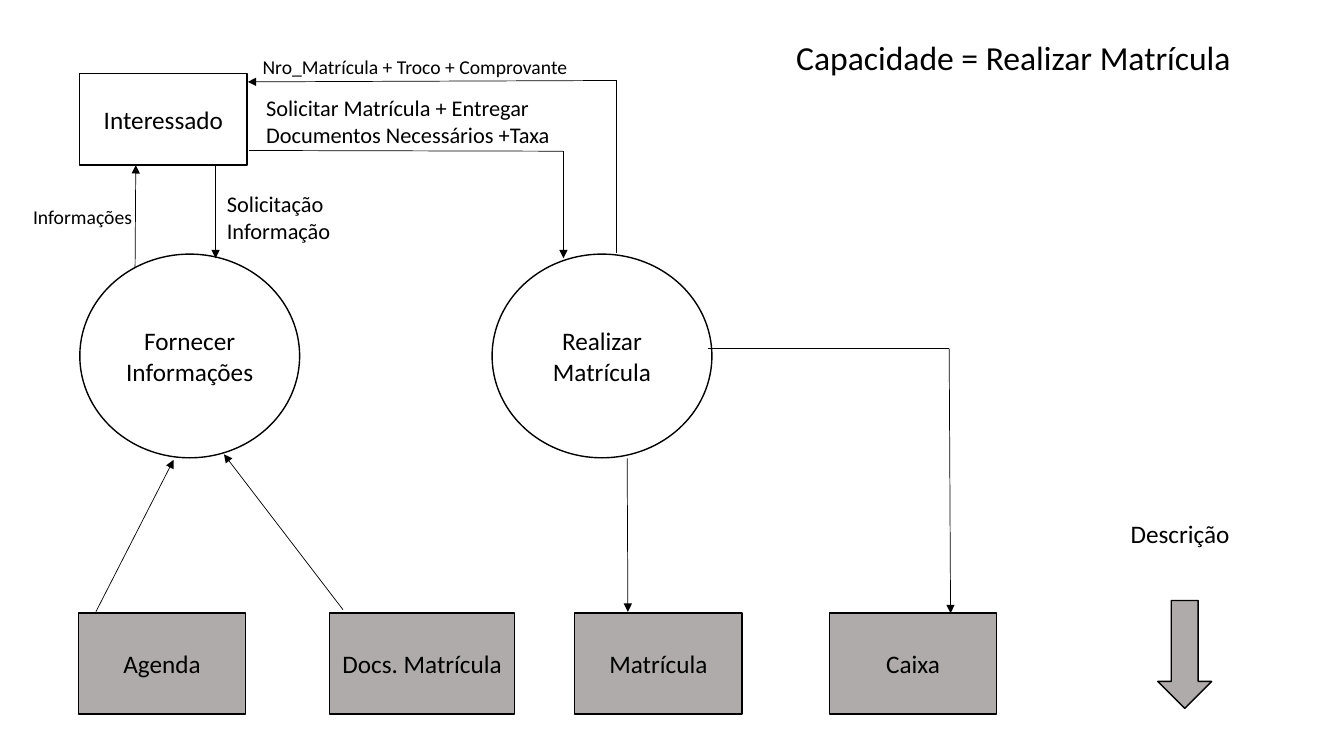
"""Build the data flow diagram slide for the enrolment capability."""
import pptx
import pptx.dml.color
import pptx.enum.shapes
import pptx.enum.text
import pptx.oxml.ns
import pptx.util
from lxml import etree

Pt = pptx.util.Pt
RGBColor = pptx.dml.color.RGBColor
ShapeType = pptx.enum.shapes.MSO_SHAPE
Anchor = pptx.enum.text.MSO_ANCHOR
Align = pptx.enum.text.PP_ALIGN

THEME = {
    "font": "Calibri",
    "ink": RGBColor(0, 0, 0),
    "paper": RGBColor(255, 255, 255),
    "store": RGBColor(0xAF, 0xAB, 0xAB),
    "title": 24, "node": 18, "flow": 16, "small": 14,
    "outline": 1, "arrow": 0.5,
}

TITLE = ("Capacidade = Realizar Matrícula", 561.5, 22.5, 331, 36)
ENTITY = (["Interessado"], 57, 52.5, 119.5, 65.5)
PROCESS_TOP, PROCESS_SIZE = 181.5, (157, 145.5)
PROCESSES = [(["Fornecer Informações"], 57), (["Realizar", "Matrícula"], 351.5)]
STORE_TOP, STORE_HEIGHT = 438, 72
STORES = [
    ("Agenda", 56, 119.5),
    ("Docs. Matrícula", 235.5, 132),
    ("Matrícula", 410.5, 119.5),
    ("Caixa", 592.5, 119.5),
]
LEGEND_ARROW = ([], 827, 429, 38.5, 77)
LABELS = [
    (["Informações"], "small", 16.5, 142.5, 137.5, 24.5),
    (["Solicitação", "Informação"], "flow", 155, 132, 216, 46),
    (["Solicitar Matrícula + Entregar Documentos Necessários +Taxa"],
     "flow", 183, 64, 237.5, 46),
    (["Nro_Matrícula + Troco + Comprovante"], "small", 180.5, 36, 266.5, 24.5),
    (["Descrição"], "node", 800.5, 367, 115, 29),
]
FLOWS = [
    [(154, 118), (154, 184.5)],
    [(96.5, 191), (97, 118)],
    [(68.5, 437), (124, 328.5)],
    [(245, 435.5), (160, 324.5)],
    [(448, 327.5), (448.5, 437)],
    [(178, 107.5), (402.5, 108), (402.5, 184.5)],
    [(440.5, 181), (440.5, 57.5), (177, 58.5)],
    [(506, 249), (678, 249), (679, 438)],
]


def set_all(target, values):
    """Set every attribute named in values."""
    for name, value in values.items():
        setattr(target, name, value)


def write(shape, lines, size, frame_format, alignment):
    """Write lines as paragraphs in one style."""
    frame = shape.text_frame
    set_all(frame, {"word_wrap": True, **frame_format})
    frame.text = "\n".join(lines)
    for paragraph in frame.paragraphs:
        set_all(paragraph, {"alignment": alignment, "line_spacing": 1.0})
        set_all(paragraph.font, {"size": Pt(THEME[size]), "name": THEME["font"]})
        paragraph.font.color.rgb = THEME["ink"]


def add_node(slide, kind, fill, lines, *box):
    """Add an outlined shape with centred text."""
    shape = slide.shapes.add_shape(kind, *map(Pt, box))
    shape.shadow.inherit = False
    shape.fill.solid()
    shape.fill.fore_color.rgb = THEME[fill]
    shape.line.color.rgb = THEME["ink"]
    shape.line.width = Pt(THEME["outline"])
    if lines:
        write(shape, lines, "node", {"vertical_anchor": Anchor.MIDDLE}, Align.CENTER)


def add_flow(slide, points):
    """Join the points with lines and put an arrowhead on the last one."""
    for start, end in zip(points, points[1:]):
        line = slide.shapes.add_connector(
            pptx.enum.shapes.MSO_CONNECTOR.STRAIGHT, *map(Pt, start + end))
        line.line.color.rgb = THEME["ink"]
        line.line.width = Pt(THEME["arrow"])
        properties = line._element.spPr
        etree.SubElement(properties, pptx.oxml.ns.qn("a:effectLst"))
    outline = line.line._get_or_add_ln()
    etree.SubElement(outline, pptx.oxml.ns.qn("a:tailEnd"), type="triangle")


presentation = pptx.Presentation()
set_all(presentation, {"slide_width": Pt(960), "slide_height": Pt(540)})
slide = presentation.slides.add_slide(presentation.slide_layouts[5])

title_text, *title_box = TITLE
title = slide.shapes.title
set_all(title, dict(zip(("left", "top", "width", "height"), map(Pt, title_box))))
write(title, [title_text], "title",
      {"vertical_anchor": Anchor.TOP, "auto_size": pptx.enum.text.MSO_AUTO_SIZE.NONE},
      Align.LEFT)

add_node(slide, ShapeType.RECTANGLE, "paper", *ENTITY)
for lines, left in PROCESSES:
    add_node(slide, ShapeType.OVAL, "paper", lines, left, PROCESS_TOP, *PROCESS_SIZE)
for name, left, width in STORES:
    add_node(slide, ShapeType.RECTANGLE, "store", [name],
             left, STORE_TOP, width, STORE_HEIGHT)
add_node(slide, ShapeType.DOWN_ARROW, "store", *LEGEND_ARROW)
for points in FLOWS:
    add_flow(slide, points)
for lines, size, *box in LABELS:
    label = slide.shapes.add_textbox(*map(Pt, box))
    write(label, lines, size, {"vertical_anchor": Anchor.TOP}, Align.LEFT)

presentation.save("out.pptx")
